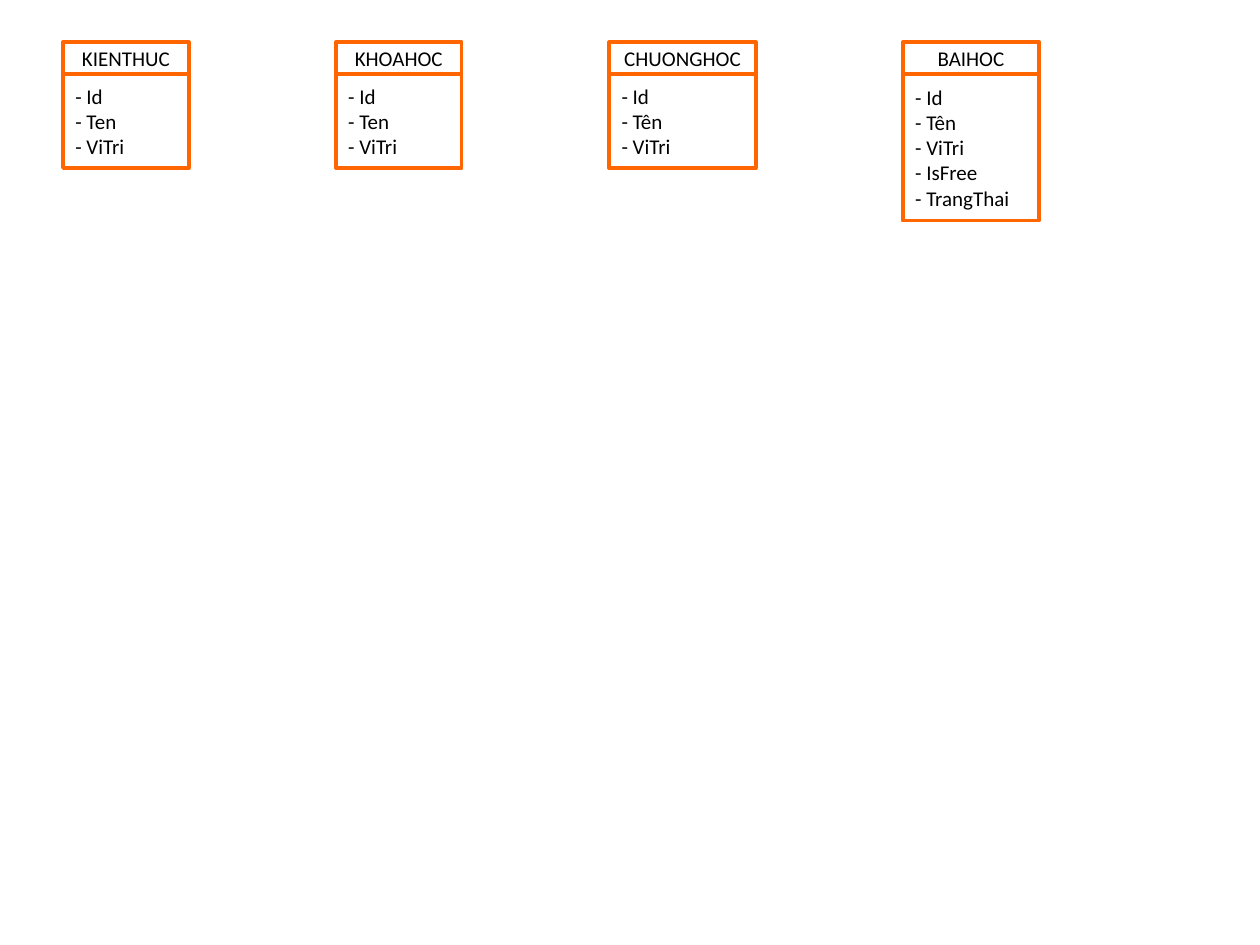
from dataclasses import dataclass

from pptx import Presentation
from pptx.dml.color import RGBColor
from pptx.enum.shapes import MSO_SHAPE
from pptx.enum.text import MSO_ANCHOR, PP_ALIGN
from pptx.slide import Slide
from pptx.util import Cm, Pt

ORANGE = "FF6600"
BLACK = "000000"
TOP = 0.85
HEADER_HEIGHT = 0.64


@dataclass
class Entity:
    name: str
    fields: list[str]
    left: float
    width: float
    body_height: float = 1.9


ENTITIES = [
    Entity("KIENTHUC", ["Id", "Ten", "ViTri"], 1.27, 2.54),
    Entity("KHOAHOC", ["Id", "Ten", "ViTri"], 6.77, 2.54),
    Entity("CHUONGHOC", ["Id", "Tên", "ViTri"], 12.28, 2.96),
    Entity("BAIHOC", ["Id", "Tên", "ViTri", "IsFree", "TrangThai"], 18.2, 2.75, 2.96),
]


def color(value: str) -> RGBColor:
    return RGBColor.from_string(value)


def add_box(s: Slide, left: float, top: float, width: float, height: float,
            lines: list[str], align: PP_ALIGN) -> None:
    """Draw an outlined rectangle with one paragraph per line of text."""
    sp = s.shapes.add_shape(MSO_SHAPE.RECTANGLE, Cm(left), Cm(top), Cm(width), Cm(height))
    sp.shadow.inherit = False
    sp.fill.background()
    sp.line.color.rgb = color(ORANGE)
    sp.line.width = Pt(2)

    tf = sp.text_frame
    tf.word_wrap = True
    tf.vertical_anchor = MSO_ANCHOR.MIDDLE
    tf.text = "\n".join(lines)
    for p in tf.paragraphs:
        p.alignment = align
        for r in p.runs:
            r.font.name = "Calibri"
            r.font.size = Pt(12)
            r.font.color.rgb = color(BLACK)


def add_entity(s: Slide, entity: Entity) -> None:
    """Draw the field list, then the name header above it."""
    fields = [f"- {field}" for field in entity.fields]
    add_box(s, entity.left, TOP + HEADER_HEIGHT, entity.width, entity.body_height,
            fields, PP_ALIGN.LEFT)
    add_box(s, entity.left, TOP, entity.width, HEADER_HEIGHT,
            [entity.name], PP_ALIGN.CENTER)


def main() -> None:
    prs = Presentation()
    prs.slide_width, prs.slide_height = Cm(25.4), Cm(19.05)

    # Blank layout: the slide holds only the entity boxes
    s = prs.slides.add_slide(prs.slide_layouts[6])
    for entity in ENTITIES:
        add_entity(s, entity)

    prs.save("out.pptx")


if __name__ == "__main__":
    main()
